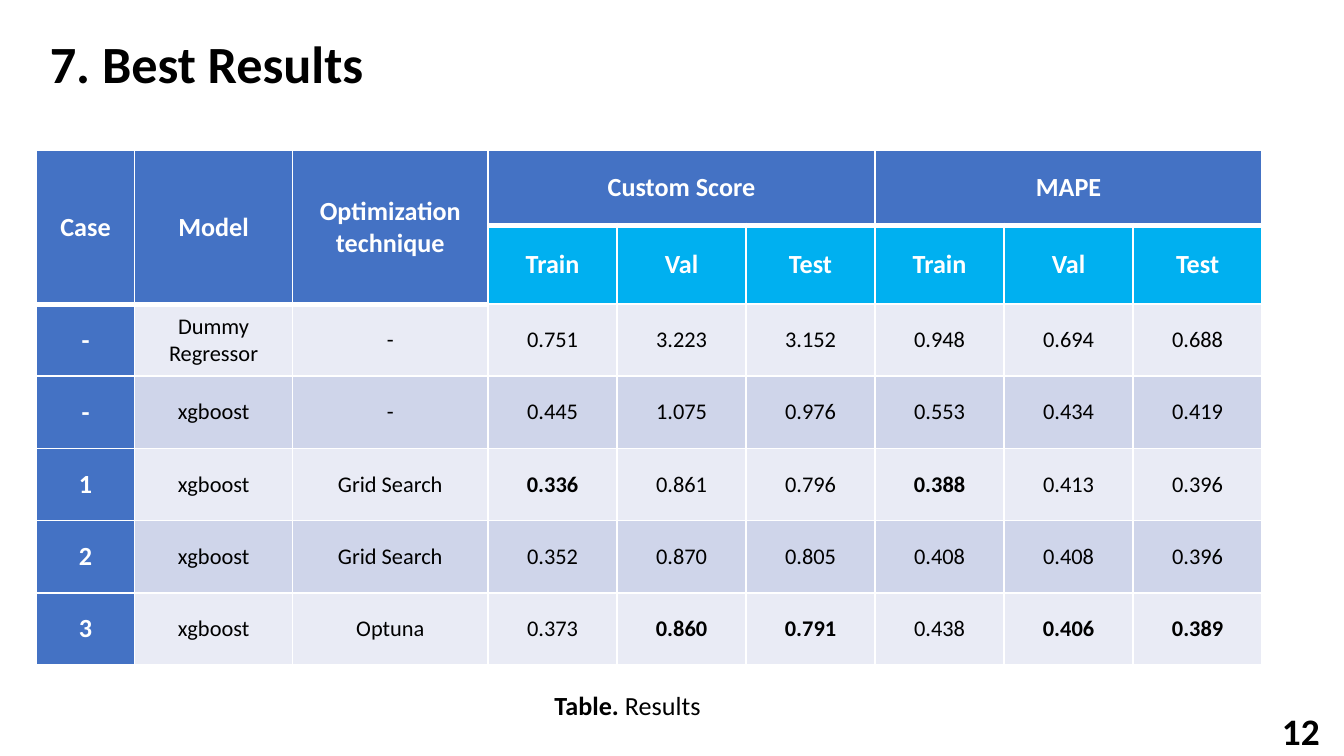
from lxml import etree
from pptx import Presentation
from pptx import util as u
from pptx.dml import color
from pptx.enum import text
from pptx.oxml import ns

SLIDE_WIDTH = u.Inches(10)
SLIDE_HEIGHT = SLIDE_WIDTH * 9 // 16
COLORS = {
    "white": "FFFFFF",
    "black": "000000",
    "header": "4472C4",
    "subheader": "00B0F0",
    "band_light": "E9EBF5",
    "band_dark": "CFD5EA",
}
FORMATS = {
    "title": {"size": u.Pt(28), "bold": True},
    "number": {"size": u.Pt(20), "bold": True},
    "label": {"size": u.Pt(14), "bold": True},
    "caption": {"size": u.Pt(14), "bold": False},
    "value": {"size": u.Pt(12), "bold": False},
    "best": {"size": u.Pt(12), "bold": True},
}
CELL_FORMAT = {
    "margin_left": u.Inches(0.12),
    "margin_right": u.Inches(0.12),
    "margin_top": u.Inches(0.06),
    "margin_bottom": u.Inches(0.06),
    "vertical_anchor": text.MSO_ANCHOR.MIDDLE,
}
COLUMN_SHARES = [7.3, 11.75, 14.55] + [9.6] * 6
ROW_SHARES = [9.88, 8.18] + [9.55] * 5
HEADINGS = ["Case", "Model", "Optimization technique",
            "Custom Score", "", "", "MAPE", "", ""]
SUBHEADINGS = ["", "", ""] + ["Train", "Val", "Test"] * 2
RESULTS = [
    ["-", "Dummy\nRegressor", "-", "0.751", "3.223", "3.152", "0.948", "0.694", "0.688"],
    ["-", "xgboost", "-", "0.445", "1.075", "0.976", "0.553", "0.434", "0.419"],
    ["1", "xgboost", "Grid Search", "0.336", "0.861", "0.796", "0.388", "0.413", "0.396"],
    ["2", "xgboost", "Grid Search", "0.352", "0.870", "0.805", "0.408", "0.408", "0.396"],
    ["3", "xgboost", "Optuna", "0.373", "0.860", "0.791", "0.438", "0.406", "0.389"],
]
HEADER_ROWS, LABEL_COLUMNS, SCORE_COLUMNS = 2, 3, 3


def across(percent):
    return round(SLIDE_WIDTH * percent / 100)


def down(percent):
    return round(SLIDE_HEIGHT * percent / 100)


def set_attributes(target, values):
    for name, value in values.items():
        setattr(target, name, value)


def rgb(name):
    return color.RGBColor.from_string(COLORS[name])


def write(paragraph, wording, style, color_name="black"):
    first = len(paragraph.runs)
    for index, line in enumerate(wording.split("\n")):
        if index:
            paragraph.add_line_break()
        paragraph.add_run().text = line
    for run in paragraph.runs[first:]:
        set_attributes(run.font, {"name": "Calibri", **FORMATS[style]})
        run.font.color.rgb = rgb(color_name)


def add_text(slide, left, top, width, height, parts, frame_format, paragraph_format):
    box = slide.shapes.add_textbox(across(left), down(top), across(width), down(height))
    set_attributes(box.text_frame, {"word_wrap": True, **frame_format})
    paragraph = box.text_frame.paragraphs[0]
    set_attributes(paragraph, paragraph_format)
    for wording, style in parts:
        write(paragraph, wording, style)


def bottom_width(row, column):
    thick = row == 0 or (row == 1 and column < LABEL_COLUMNS)
    return u.Pt(3 if thick else 1)


def add_borders(cell, row, column):
    properties = cell._tc.get_or_add_tcPr()
    widths = {
        "L": u.Pt(1),
        "R": u.Pt(1),
        "T": bottom_width(row - 1, column) if row else u.Pt(1),
        "B": bottom_width(row, column),
    }
    for side, width in widths.items():
        line = etree.SubElement(properties, ns.qn(f"a:ln{side}"), w=str(width))
        fill = etree.SubElement(line, ns.qn("a:solidFill"))
        etree.SubElement(fill, ns.qn("a:srgbClr"), val=COLORS["white"])


def cell_look(row, column, wording, best):
    if row == 1 and column >= LABEL_COLUMNS:
        return "subheader", "label", "white"
    if row < HEADER_ROWS or column == 0:
        return "header", "label", "white"
    band = "band_dark" if row % 2 else "band_light"
    return band, "best" if wording == best.get(column) else "value", "black"


def fill_cell(cell, row, column, wording, best):
    fill_name, style, color_name = cell_look(row, column, wording, best)
    add_borders(cell, row, column)
    set_attributes(cell, CELL_FORMAT)
    cell.fill.solid()
    cell.fill.fore_color.rgb = rgb(fill_name)
    paragraph = cell.text_frame.paragraphs[0]
    paragraph.alignment = text.PP_ALIGN.CENTER
    if wording:
        write(paragraph, wording, style, color_name)


def merge_headings(table):
    for column in range(LABEL_COLUMNS):
        table.cell(0, column).merge(table.cell(1, column))
    for column in range(LABEL_COLUMNS, len(COLUMN_SHARES), SCORE_COLUMNS):
        table.cell(0, column).merge(table.cell(0, column + SCORE_COLUMNS - 1))


def add_results_table(slide):
    frame = slide.shapes.add_table(
        len(ROW_SHARES), len(COLUMN_SHARES), across(2.72), down(19.91),
        across(sum(COLUMN_SHARES)), down(sum(ROW_SHARES)))
    table = frame.table
    for column, share in zip(table.columns, COLUMN_SHARES):
        column.width = across(share)
    for row, share in zip(table.rows, ROW_SHARES):
        row.height = down(share)
    best = {column: min((result[column] for result in RESULTS), key=float)
            for column in range(LABEL_COLUMNS, len(COLUMN_SHARES))}
    for row, wordings in enumerate([HEADINGS, SUBHEADINGS] + RESULTS):
        for column, wording in enumerate(wordings):
            fill_cell(table.cell(row, column), row, column, wording, best)
    merge_headings(table)


def main():
    presentation = Presentation()
    set_attributes(presentation, {"slide_width": SLIDE_WIDTH, "slide_height": SLIDE_HEIGHT})
    slide = presentation.slides.add_slide(presentation.slide_layouts[6])
    add_text(slide, 2.73, 1.35, 74, 13.87, [("7. Best Results", "title")],
             {"vertical_anchor": text.MSO_ANCHOR.MIDDLE}, {})
    add_text(slide, 94.4, 92.8, 5.2, 7.82, [("12", "number")], {}, {})
    add_results_table(slide)
    margins = {f"margin_{side}": u.Inches(0.1) for side in ("left", "top", "right", "bottom")}
    add_text(slide, 13.4, 88.8, 66.6, 10.49,
             [("Table.", "label"), (" Results", "caption")],
             {**margins, "auto_size": text.MSO_AUTO_SIZE.SHAPE_TO_FIT_TEXT},
             {"alignment": text.PP_ALIGN.CENTER, "line_spacing": 1.15, "space_after": u.Pt(8)})
    presentation.save("out.pptx")


if __name__ == "__main__":
    main()
